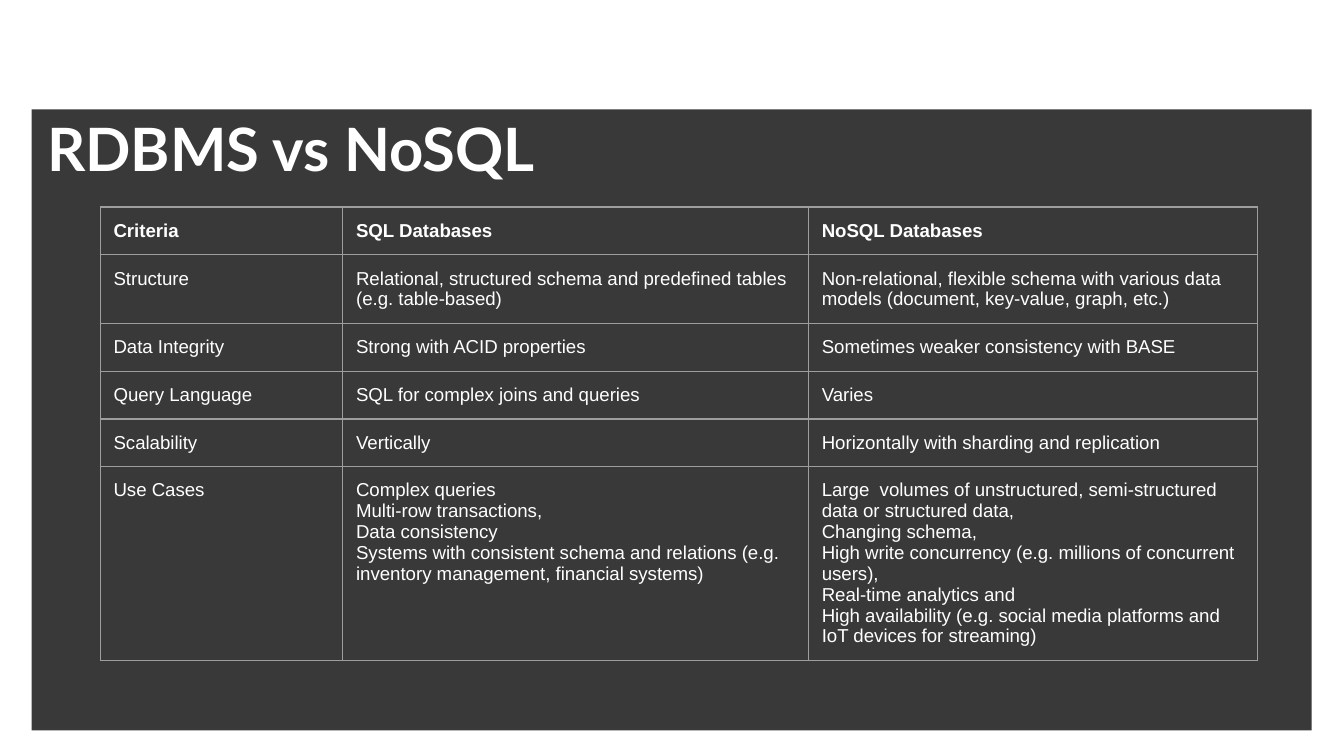
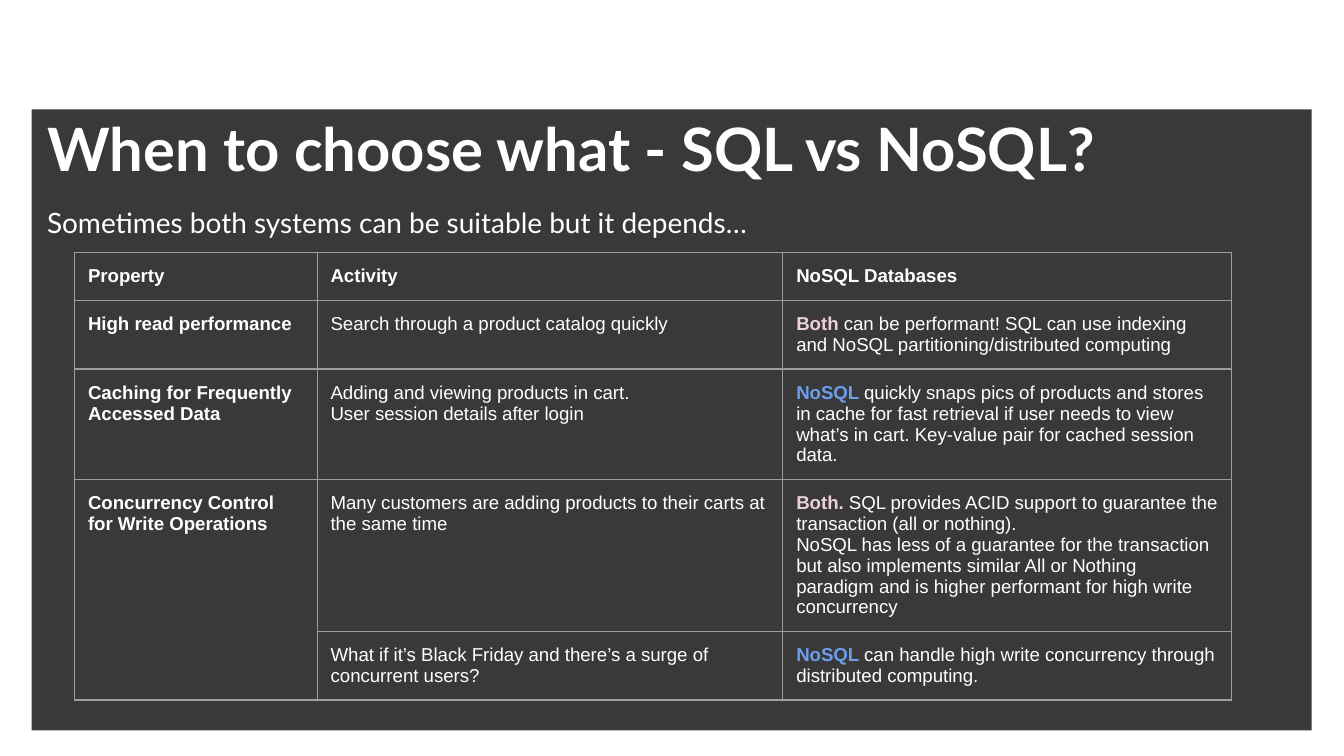
import pptx
import pptx.util
import pptx.dml.color
import pptx.enum.shapes
import pptx.enum.text
import pptx.oxml
import pptx.oxml.ns

SCALE = 4572
COLORS = {"panel": "393939", "white": "FFFFFF", "border": "9E9E9E", "Both": "EAD1DC", "NoSQL": "6D9EEB"}
COLUMN_WIDTHS = [361, 693, 668]
ROW_HEIGHT = 48

SLIDES = [
    {
        "title": "RDBMS vs NoSQL",
        "subtitle": None,
        "table_at": (149, 308),
        "bold_labels": False,
        "merge": None,
        "rows": [
            ["Criteria", "SQL Databases", "NoSQL Databases"],
            ["Structure",
             "Relational, structured schema and predefined tables\n(e.g. table-based)",
             "Non-relational, flexible schema with various data models (document, key-value, graph, etc.)"],
            ["Data Integrity", "Strong with ACID properties", "Sometimes weaker consistency with BASE"],
            ["Query Language", "SQL for complex joins and queries", "Varies"],
            ["Scalability", "Vertically", "Horizontally with sharding and replication"],
            ["Use Cases",
             "Complex queries\nMulti-row transactions,\nData consistency\n"
             "Systems with consistent schema and relations (e.g. inventory management, financial systems)",
             "Large  volumes of unstructured, semi-structured data or structured data,\nChanging schema,\n"
             "High write concurrency (e.g. millions of concurrent users),\nReal-time analytics and\n"
             "High availability (e.g. social media platforms and IoT devices for streaming)"],
        ],
    },
    {
        "title": "When to choose what - SQL vs NoSQL?",
        "subtitle": "Sometimes both systems can be suitable but it depends…",
        "table_at": (111, 376),
        "bold_labels": True,
        "merge": ((3, 0), (4, 0)),
        "rows": [
            ["Property", "Activity", "NoSQL Databases"],
            ["High read performance", "Search through a product catalog quickly",
             "Both |can be performant! SQL can use indexing and NoSQL partitioning/distributed computing"],
            ["Caching for Frequently Accessed Data",
             "Adding and viewing products in cart.\nUser session details after login",
             "NoSQL |quickly snaps pics of products and stores in cache for fast retrieval if user needs "
             "to view what’s in cart. Key-value pair for cached session data."],
            ["Concurrency Control for Write Operations",
             "Many customers are adding products to their carts at the same time",
             "Both. |SQL provides ACID support to guarantee the transaction (all or nothing).\n"
             "NoSQL has less of a guarantee for the transaction but also implements similar "
             "All or Nothing paradigm and is higher performant for high write concurrency"],
            ["", "What if it’s Black Friday and there’s a surge of concurrent users?",
             "NoSQL |can handle high write concurrency through distributed computing."],
        ],
    },
]


def px(*lengths):
    return [pptx.util.Emu(length * SCALE) for length in lengths]


def style(span, font, size, color, bold):
    span.font.name = font
    span.font.size = pptx.util.Pt(size)
    span.font.bold = bold
    span.font.color.rgb = pptx.dml.color.RGBColor.from_string(COLORS[color])


deck = pptx.Presentation()
deck.slide_width, deck.slide_height = px(2000, 1125)
backdrop_tree = deck.slide_master.element.cSld.spTree

for number, content in enumerate(SLIDES):
    page = deck.slides.add_slide(deck.slide_layouts[1 if content["subtitle"] else 5])

    if number == 0:
        backdrop = [("panel", (47, 38, 1905, 1049)), ("white", (34, 0, 1934, 163))]
        for position, (color, frame) in enumerate(backdrop):
            band = page.shapes.add_shape(pptx.enum.shapes.MSO_SHAPE.RECTANGLE, *px(*frame))
            band.shadow.inherit = False
            band.fill.solid()
            band.fill.fore_color.rgb = pptx.dml.color.RGBColor.from_string(COLORS[color])
            band.line.fill.background()
            backdrop_tree.insert(2 + position, band.element)

    headings = [(page.shapes.title, content["title"], (50, 163, 1900, 114), 32, True)]
    if content["subtitle"]:
        headings.append((page.placeholders[1], content["subtitle"], (50, 288, 1568, 86), 15, False))
    for box, text, frame, size, is_title in headings:
        box.left, box.top, box.width, box.height = px(*frame)
        text_frame = box.text_frame
        text_frame.text = text
        text_frame.word_wrap = True
        text_frame.auto_size = pptx.enum.text.MSO_AUTO_SIZE.NONE
        anchors = pptx.enum.text.MSO_ANCHOR
        text_frame.vertical_anchor = anchors.MIDDLE if is_title else anchors.TOP
        para = text_frame.paragraphs[0]
        para.alignment = pptx.enum.text.PP_ALIGN.LEFT
        para.space_before = pptx.util.Pt(0)
        if not is_title:
            para.line_spacing = 1.15
            properties = para._p.get_or_add_pPr()
            properties.set("marL", "0")
            properties.set("indent", "0")
            properties.append(pptx.oxml.parse_xml(f'<a:buNone {pptx.oxml.ns.nsdecls("a")}/>'))
        style(para.runs[0], "Lato", size, "white", is_title)

    rows = content["rows"]
    frame = (*content["table_at"], sum(COLUMN_WIDTHS), ROW_HEIGHT * len(rows))
    table = page.shapes.add_table(len(rows), len(COLUMN_WIDTHS), *px(*frame)).table
    table.first_row = False
    table.horz_banding = False
    for column, width in zip(table.columns, px(*COLUMN_WIDTHS)):
        column.width = width

    for row_index, row in enumerate(rows):
        for column_index, text in enumerate(row):
            cell = table.cell(row_index, column_index)
            cell.margin_left, cell.margin_top, cell.margin_right, cell.margin_bottom = px(20, 20, 20, 20)
            for side in "LRTB":
                cell._tc.get_or_add_tcPr().append(pptx.oxml.parse_xml(
                    f'<a:ln{side} {pptx.oxml.ns.nsdecls("a")} w="9525"><a:solidFill>'
                    f'<a:srgbClr val="{COLORS["border"]}"/></a:solidFill></a:ln{side}>'))
            cell.fill.background()
            cell.text_frame.text = text
            bold = row_index == 0 or (content["bold_labels"] and column_index == 0)
            for para in cell.text_frame.paragraphs:
                lead, divider, rest = para.text.partition("|")
                if divider:
                    para.text = lead
                    style(para.runs[0], "Arial", 10, lead.strip(" ."), True)
                    span = para.add_run()
                    span.text = rest
                    style(span, "Arial", 10, "white", False)
                else:
                    for span in para.runs:
                        style(span, "Arial", 10, "white", bold)

    if content["merge"]:
        first, last = content["merge"]
        table.cell(*first).merge(table.cell(*last))

deck.save("out.pptx")
